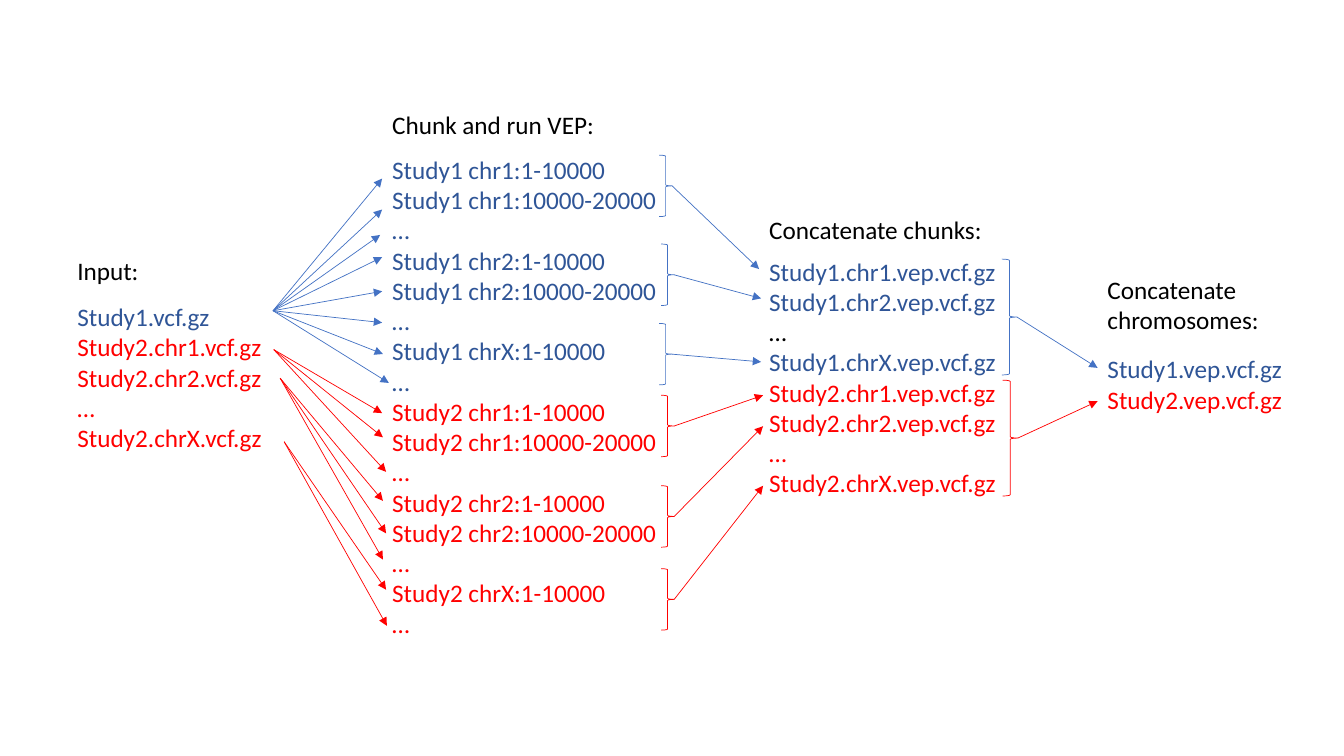
from pptx import Presentation
from pptx.dml.color import RGBColor
from pptx.enum.dml import MSO_FILL
from pptx.enum.shapes import MSO_CONNECTOR, MSO_SHAPE
from pptx.enum.text import MSO_ANCHOR, MSO_AUTO_SIZE, PP_ALIGN
from pptx.oxml.ns import qn
from pptx.util import Cm, Pt
from lxml import etree

STRAIGHT = MSO_CONNECTOR.STRAIGHT
RIGHT_BRACE = MSO_SHAPE.RIGHT_BRACE
BLACK = RGBColor(0x00, 0x00, 0x00)
BLUE = RGBColor(0x2F, 0x55, 0x97)
LINE_BLUE = RGBColor(0x44, 0x72, 0xC4)
RED = RGBColor(0xFF, 0x00, 0x00)
COMPARISON_LAYOUT = 4
ELLIPSIS = "…"

FRAME_FORMAT = {"word_wrap": False, "auto_size": MSO_AUTO_SIZE.SHAPE_TO_FIT_TEXT,
                "vertical_anchor": MSO_ANCHOR.TOP}
PARAGRAPH_FORMAT = {"alignment": PP_ALIGN.LEFT, "line_spacing": 1.0,
                    "space_before": Pt(0), "space_after": Pt(0)}
FONT_FORMAT = {"name": "Calibri", "size": Pt(18), "bold": False}


def apply_format(target, values):
    """Set every attribute named in values on the target."""
    for name, value in values.items():
        setattr(target, name, value)


class FlowSlide:
    """Holds the line style and the current slide."""

    line_width = Pt(0.5)

    def __init__(self, presentation):
        """Add a slide whose heading and list placeholders will be used."""
        layout = presentation.slide_layouts[COMPARISON_LAYOUT]
        self.slide = presentation.slides.add_slide(layout)
        self.shapes = self.slide.shapes
        title = self.shapes.title.element
        title.getparent().remove(title)

    def text(self, box, groups, placeholder=None):
        """Write groups of (colour, lines) in a placeholder or a text box."""
        lengths = [Cm(value) for value in box]
        if placeholder is None:
            shape = self.shapes.add_textbox(*lengths)
        else:
            shape = self.slide.placeholders[placeholder]
            apply_format(shape, dict(zip(("left", "top", "width", "height"), lengths)))
        frame = shape.text_frame
        apply_format(frame, FRAME_FORMAT)
        lines = [(colour, line) for colour, group in groups for line in group]
        for number, (colour, line) in enumerate(lines):
            paragraph = frame.add_paragraph() if number else frame.paragraphs[0]
            paragraph.text = line
            apply_format(paragraph, PARAGRAPH_FORMAT)
            properties = paragraph._p.get_or_add_pPr()
            properties.set("marL", "0")
            properties.set("indent", "0")
            etree.SubElement(properties, qn("a:buNone"))
            for run in paragraph.runs:
                apply_format(run.font, FONT_FORMAT)
                run.font.color.rgb = colour

    def style_line(self, line, colour):
        """Give a line its colour and width."""
        line.color.rgb = colour
        line.width = self.line_width

    def arrow(self, start, end, colour):
        """Draw a straight arrow from start to end."""
        points = [Cm(value) for value in (*start, *end)]
        connector = self.shapes.add_connector(STRAIGHT, *points)
        self.style_line(connector.line, colour)
        etree.SubElement(connector.line._get_or_add_ln(), qn("a:tailEnd"), type="triangle")
        etree.SubElement(connector._element.spPr, qn("a:effectLst"))

    def fan(self, start, ends, colour):
        """Draw arrows from one input file to each of its chunks."""
        for end in ends:
            self.arrow(start, end, colour)

    def brace(self, box, end, colour):
        """Draw a right brace and an arrow from its tip to end."""
        left, top, width, height = box
        shape = self.shapes.add_shape(RIGHT_BRACE, *[Cm(value) for value in box])
        shape.shadow.inherit = False
        shape.fill.background()
        self.style_line(shape.line, colour)
        self.arrow((left + width, top + height / 2), end, colour)


def chunk_lines(study):
    """List the chunks of one study."""
    lines = []
    for chromosome in ("chr1", "chr2"):
        lines += [f"{study} {chromosome}:1-10000",
                  f"{study} {chromosome}:10000-20000", ELLIPSIS]
    return lines + [f"{study} chrX:1-10000", ELLIPSIS]


def main():
    """Build the slide and save it."""
    presentation = Presentation()
    presentation.slide_width = Cm(33.87)
    presentation.slide_height = Cm(19.05)
    flow = FlowSlide(presentation)

    input_groups = [(BLUE, ["Study1.vcf.gz"]),
                    (RED, ["Study2.chr1.vcf.gz", "Study2.chr2.vcf.gz",
                           ELLIPSIS, "Study2.chrX.vcf.gz"])]
    chunk_groups = [(BLUE, chunk_lines("Study1")), (RED, chunk_lines("Study2"))]
    chromosome_groups = [
        (BLUE, ["Study1.chr1.vep.vcf.gz", "Study1.chr2.vep.vcf.gz"]),
        (BLACK, [ELLIPSIS]),
        (BLUE, ["Study1.chrX.vep.vcf.gz"]),
        (RED, ["Study2.chr1.vep.vcf.gz", "Study2.chr2.vep.vcf.gz",
               ELLIPSIS, "Study2.chrX.vep.vcf.gz"])]
    study_groups = [(BLUE, ["Study1.vep.vcf.gz"]), (RED, ["Study2.vep.vcf.gz"])]

    # Each stage: heading, its box, list, its box, heading and list placeholders
    stages = [
        ("Input:", (1.7, 6.32, 2.08, 1.02),
         input_groups, (1.7, 7.47, 5.36, 4.11), None, None),
        ("Chunk and run VEP:", (9.63, 2.62, 5.66, 1.02),
         chunk_groups, (9.63, 3.76, 7.24, 13.34), 1, 2),
        ("Concatenate chunks:", (19.13, 5.28, 5.94, 1.02),
         chromosome_groups, (19.13, 6.32, 6.27, 6.4), 3, 4),
        ("Concatenate\vchromosomes:", (27.66, 6.78, 4.37, 1.8),
         study_groups, (27.66, 8.79, 5.11, 1.8), None, None)]
    for heading, heading_box, groups, list_box, heading_id, list_id in stages:
        flow.text(heading_box, [(BLACK, [heading])], heading_id)
        flow.text(list_box, groups, list_id)

    fans = [
        ((6.88, 7.83), LINE_BLUE,
         [(9.63, 4.5), (9.63, 5.28), (9.58, 5.92), (9.63, 6.48),
          (9.63, 7.34), (9.63, 8.13), (9.65, 8.92), (9.8, 9.65)]),
        ((6.9, 8.81), RED, [(9.63, 10.41), (9.65, 11.02), (9.73, 11.89)]),
        ((7.06, 9.53), RED, [(9.65, 12.62), (9.73, 13.44), (9.65, 14.1)]),
        ((7.16, 11.13), RED, [(9.73, 14.86), (9.75, 15.77)])]
    for start, colour, ends in fans:
        flow.fan(start, ends, colour)

    chunk_size, chromosome_size = (0.33, 1.55), (0.38, 2.92)
    braces = [
        (16.61, 3.91, chunk_size, (19.13, 6.78), LINE_BLUE),
        (16.66, 6.15, chunk_size, (19.18, 7.52), LINE_BLUE),
        (16.61, 8.15, chunk_size, (19.18, 9.12), LINE_BLUE),
        (16.66, 9.96, chunk_size, (19.23, 9.96), RED),
        (16.66, 12.24, chunk_size, (19.23, 10.74), RED),
        (16.66, 14.33, chunk_size, (19.23, 12.24), RED),
        (25.25, 6.53, chromosome_size, (27.66, 9.27), LINE_BLUE),
        (25.27, 9.58, chromosome_size, (27.66, 10.11), RED)]
    for left, top, size, end, colour in braces:
        flow.brace((left, top, *size), end, colour)

    presentation.save("out.pptx")


main()
